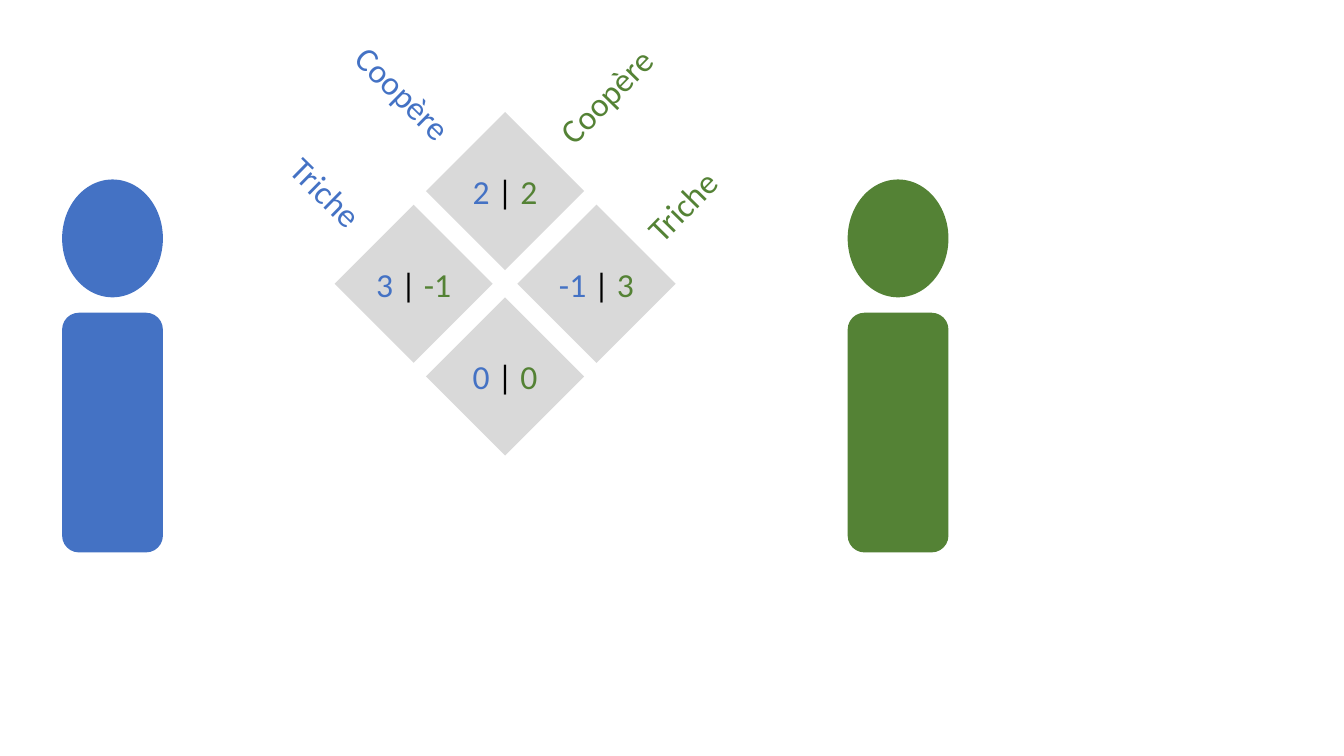
from pptx import Presentation
from pptx.dml.color import RGBColor
from pptx.enum.shapes import MSO_SHAPE
from pptx.enum.text import MSO_ANCHOR, PP_ALIGN
from pptx.util import Pt

DIAMOND, OVAL, ROUNDED = MSO_SHAPE.DIAMOND, MSO_SHAPE.OVAL, MSO_SHAPE.ROUNDED_RECTANGLE
LEFT, CENTER, RIGHT = PP_ALIGN.LEFT, PP_ALIGN.CENTER, PP_ALIGN.RIGHT
MIDDLE = MSO_ANCHOR.MIDDLE

BLUE, GREEN, GREY, BLACK = "4472C4", "548235", "D9D9D9", "000000"
FONT = "Calibri"
BLANK_LAYOUT = 6


def color(hex_value):
    """Turn a hex string into a colour."""
    return RGBColor.from_string(hex_value)


def add_text(shape, runs, align=LEFT, size=24, font=FONT, wrap=True, margin=None):
    """Write (text, colour) runs as one paragraph, centred vertically."""
    frame = shape.text_frame
    frame.word_wrap = wrap
    frame.vertical_anchor = MIDDLE
    if margin is not None:
        frame.margin_left = frame.margin_right = Pt(margin)
        frame.margin_top = frame.margin_bottom = Pt(margin)
    paragraph = frame.paragraphs[0]
    paragraph.alignment = align
    for text, hex_value in runs:
        run = paragraph.add_run()
        run.text = text
        run.font.name = font
        run.font.size = Pt(size)
        run.font.color.rgb = color(hex_value)


def add_filled(group, kind, left, top, width, height, fill):
    """Add a flat preset shape without outline."""
    shape = group.shapes.add_shape(kind, Pt(left), Pt(top), Pt(width), Pt(height))
    shape.shadow.inherit = False
    shape.fill.solid()
    shape.fill.fore_color.rgb = color(fill)
    shape.line.fill.background()
    return shape


def add_player(slide, left, top, width, height, fill):
    """Draw a player: an oval head above a rounded body."""
    group = slide.shapes.add_group_shape()
    head_height, gap = 84.2, 11
    body_top = head_height + gap
    add_filled(group, OVAL, left, top, width, head_height, fill)
    add_filled(group, ROUNDED, left, top + body_top, width, height - body_top, fill)


def add_payoffs(slide, left, top, width, height, payoffs):
    """Draw the payoff matrix turned by 45 degrees; rows are the blue player's moves."""
    group = slide.shapes.add_group_shape()
    side = 113
    step_x, step_y = (width - side) / 2, (height - side) / 2
    for row, payoff_row in enumerate(payoffs):
        for column, (blue, green) in enumerate(payoff_row):
            diamond = add_filled(group, DIAMOND, left + (1 + column - row) * step_x,
                                 top + (row + column) * step_y, side, side, GREY)
            add_text(diamond, [(blue, BLUE), (" | ", BLACK), (green, GREEN)],
                     align=CENTER, wrap=False, margin=0)


def add_move_labels(slide, left, top, labels, hex_value, align, rotation):
    """Place slanted move labels at (text, x, y) offsets from the matrix corner."""
    group = slide.shapes.add_group_shape()
    for text, x, y in labels:
        box = group.shapes.add_textbox(Pt(left + x), Pt(top + y), Pt(100), Pt(32.4))
        box.rotation = rotation
        add_text(box, [(text, hex_value)], align=align)


def add_game(slide, left, top, width, height):
    """Draw the payoff matrix and the moves of both players."""
    payoffs = [[("2", "2"), ("-1", "3")],
               [("3", "-1"), ("0", "0")]]
    add_payoffs(slide, left, top, width, height, payoffs)
    add_move_labels(slide, left, top, [("Coopère", 144.6, -29), ("Triche", 207.4, 41)],
                    GREEN, LEFT, 314.5)
    add_move_labels(slide, left, top, [("Coopère", -2, -31), ("Triche", -65.5, 31.6)],
                    BLUE, RIGHT, 44.5)


def main():
    """Build the slide and save it."""
    presentation = Presentation()
    presentation.slide_width, presentation.slide_height = Pt(960), Pt(540)
    slide = presentation.slides.add_slide(presentation.slide_layouts[BLANK_LAYOUT])
    add_game(slide, 239, 80, 243.6, 245.4)
    for left, fill in ((44.4, BLUE), (605.5, GREEN)):
        add_player(slide, left, 128.2, 72, 266.4, fill)
    presentation.save("out.pptx")


main()
